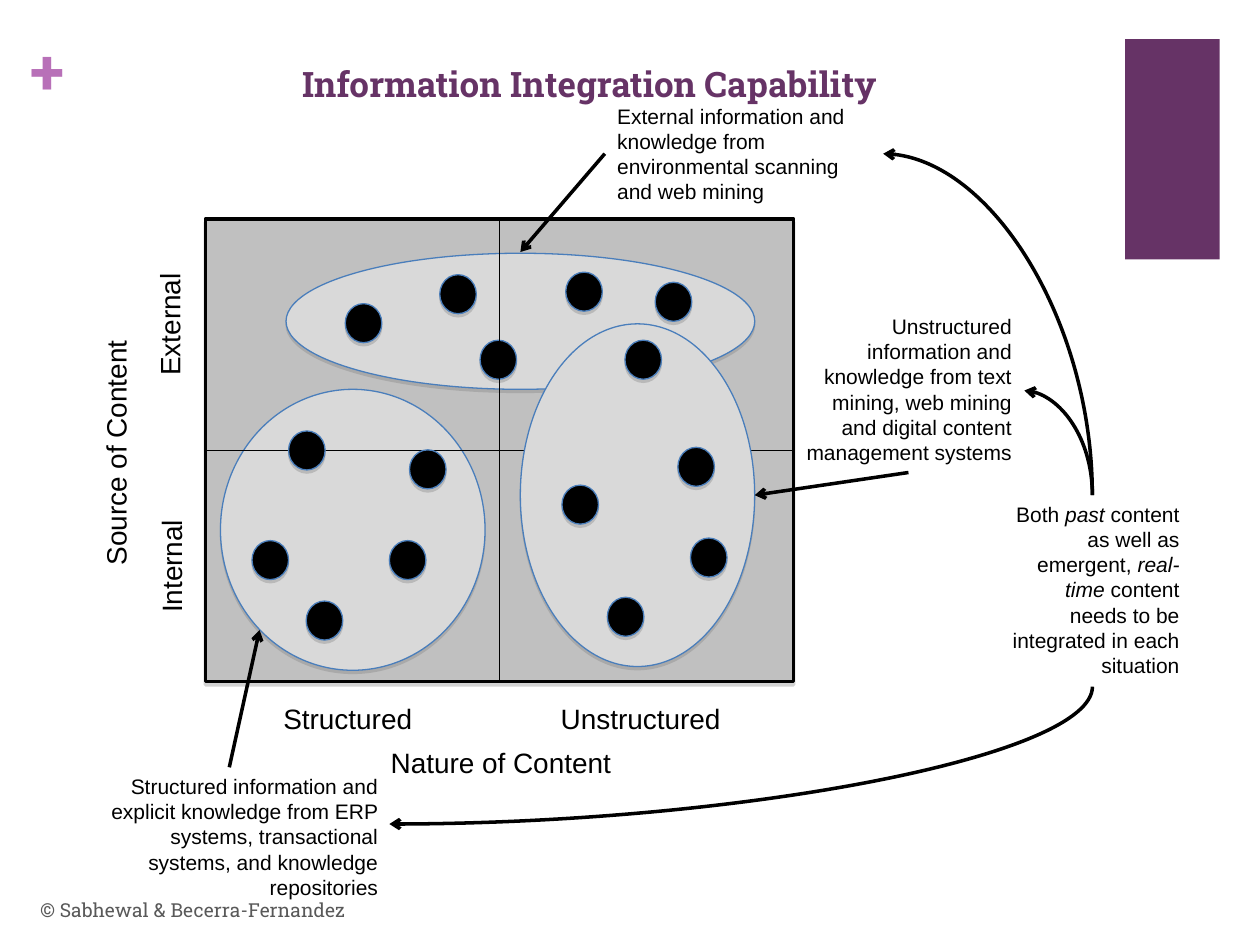
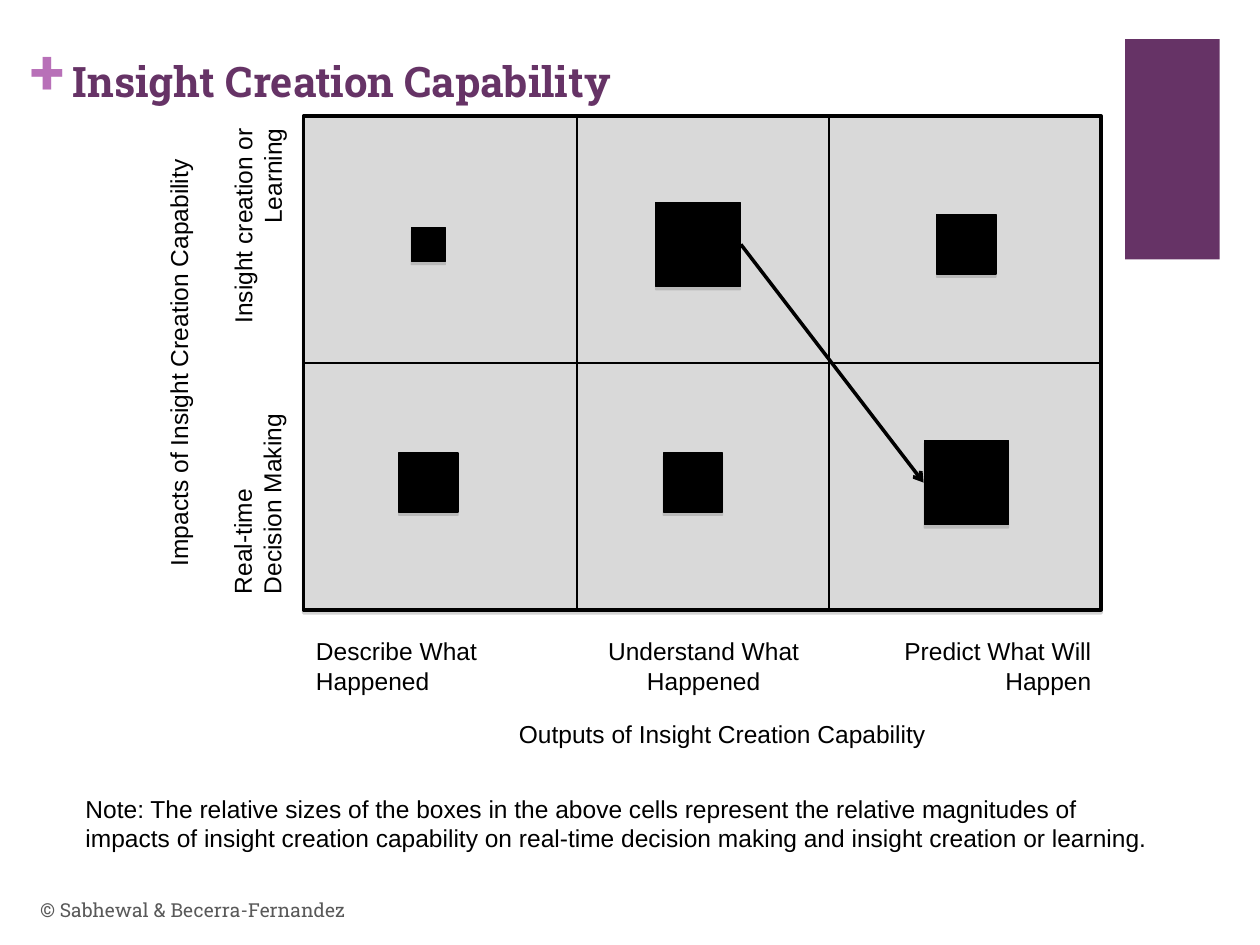
from lxml import etree
from pptx import Presentation
from pptx.dml.color import RGBColor
from pptx.enum.shapes import MSO_CONNECTOR, MSO_SHAPE
from pptx.enum.text import MSO_ANCHOR, MSO_AUTO_SIZE, PP_ALIGN
from pptx.oxml import parse_xml
from pptx.oxml.ns import nsdecls, qn
from pptx.util import Inches, Pt

BLACK = RGBColor(0x00, 0x00, 0x00)
PURPLE = RGBColor(0x66, 0x33, 0x66)
LILAC = RGBColor(0xB8, 0x70, 0xB8)
FOOTER_GRAY = RGBColor(0x59, 0x59, 0x59)
GRID_GRAY = RGBColor(0xC0, 0xC0, 0xC0)
LIGHT_GRAY = RGBColor(0xD9, 0xD9, 0xD9)
OUTLINE_BLUE = RGBColor(0x4A, 0x7E, 0xBB)

HEADING_FONT = "Roboto Slab"
BODY_FONT = "Arial"
LEFT, CENTER, RIGHT = PP_ALIGN.LEFT, PP_ALIGN.CENTER, PP_ALIGN.RIGHT

SHADOW_XML = (
    f'<a:outerShdw {nsdecls("a")} blurRad="0" dist="22860" dir="5400000" rotWithShape="0">'
    '<a:srgbClr val="808080"><a:alpha val="35000"/></a:srgbClr></a:outerShdw>'
)


class Deck:
    """Holds the presentation, its text style and the slide being drawn."""

    def __init__(self):
        self.presentation = Presentation()
        self.presentation.slide_width = Inches(10)
        self.presentation.slide_height = Inches(7.5)
        self.slide = None
        self.body_size = 12

    def start_slide(self, title, left, top, size, align, body_size):
        self.slide = self.presentation.slides.add_slide(self.presentation.slide_layouts[6])
        self.body_size = body_size
        self.shape(MSO_SHAPE.RECTANGLE, (8.93, 0.31, 0.75, 1.75), PURPLE)
        self.text("+", (0.24, 0.25, 0.28, 0.6), size=36, color=LILAC,
                  font=HEADING_FONT, bold=True, margins=(0, 0))
        self.text(title, (left, top, 8.26, 1.22), align, size=size, color=PURPLE,
                  font=HEADING_FONT, bold=True, grow=False)
        footer = self.text("© Sabhewal & Becerra-Fernandez", (0.22, 7.02, 6.7, 0.4),
                           size=11, color=FOOTER_GRAY, font=HEADING_FONT, grow=False)
        footer.text_frame.vertical_anchor = MSO_ANCHOR.MIDDLE

    def text(self, text, box, align=LEFT, size=None, color=BLACK, font=BODY_FONT,
             bold=False, rotation=0, wrap=True, grow=True, margins=(0.1, 0.05)):
        """Add a text box; words between asterisks are set in italics."""
        shape = self.slide.shapes.add_textbox(*map(Inches, box))
        shape.rotation = rotation
        frame = shape.text_frame
        frame.word_wrap = wrap
        frame.auto_size = MSO_AUTO_SIZE.SHAPE_TO_FIT_TEXT if grow else MSO_AUTO_SIZE.NONE
        frame.margin_left = frame.margin_right = Inches(margins[0])
        frame.margin_top = frame.margin_bottom = Inches(margins[1])
        paragraph = frame.paragraphs[0]
        paragraph.alignment = align
        for index, part in enumerate(text.split("*")):
            run = paragraph.add_run()
            run.text = part
            run.font.name = font
            run.font.size = Pt(size or self.body_size)
            run.font.bold = bold
            run.font.italic = index % 2 == 1
            run.font.color.rgb = color
        return shape

    def shape(self, kind, box, fill, line=None, line_width=0.75):
        """Add a filled shape; an outlined one also casts a soft shadow."""
        shape = self.slide.shapes.add_shape(kind, *map(Inches, box))
        shape.shadow.inherit = False
        shape.fill.solid()
        shape.fill.fore_color.rgb = fill
        if line is None:
            shape.line.fill.background()
        else:
            shape.line.color.rgb = line
            shape.line.width = Pt(line_width)
            effects = shape.element.spPr.find(qn("a:effectLst"))
            effects.append(parse_xml(SHADOW_XML))

    def ellipse(self, box, fill=LIGHT_GRAY):
        self.shape(MSO_SHAPE.OVAL, box, fill, OUTLINE_BLUE)

    def dots(self, *corners):
        for left, top in corners:
            self.ellipse((left, top, 0.29, 0.31), BLACK)

    def square(self, center_x, center_y, side):
        box = (center_x - side / 2, center_y - side / 2, side, side)
        self.shape(MSO_SHAPE.RECTANGLE, box, BLACK, BLACK)

    def line(self, start, end, width=1, kind=MSO_CONNECTOR.STRAIGHT):
        connector = self.slide.shapes.add_connector(kind, *map(Inches, (*start, *end)))
        connector.line.color.rgb = BLACK
        connector.line.width = Pt(width)
        etree.SubElement(connector.element.spPr, qn("a:effectLst"))
        return connector

    def arrow(self, start, tip):
        self.add_arrowhead(self.line(start, tip, 2), "a:tailEnd")

    def curved_arrow(self, start, tip):
        """Draw a quarter curve that leaves start vertically and meets tip horizontally."""
        connector = self.line(tip, start, 2, MSO_CONNECTOR.CURVE)
        connector.element.spPr.find(qn("a:prstGeom")).set("prst", "curvedConnector2")
        self.add_arrowhead(connector, "a:headEnd")

    def add_arrowhead(self, connector, end_tag):
        outline = connector.element.spPr.find(qn("a:ln"))
        etree.SubElement(outline, qn(end_tag)).set("type", "arrow")


def build_integration_slide(deck):
    deck.start_slide("Information Integration Capability", 0.55, 0.45, 20, CENTER, body_size=12)
    left, top, width, height = grid = (1.63, 1.74, 4.67, 3.67)
    right, bottom = left + width, top + height
    middle_x, middle_y = left + width / 2, top + height / 2

    deck.shape(MSO_SHAPE.RECTANGLE, grid, GRID_GRAY, BLACK, 2)
    deck.ellipse((1.75, 3.09, 2.1, 2.23))
    deck.line((left, middle_y), (right, middle_y))
    deck.dots((2.29, 3.42), (2, 4.29), (3.09, 4.29), (2.43, 4.77), (3.25, 3.57))
    deck.ellipse((2.27, 2.01, 3.72, 1.08))
    deck.dots((3.49, 2.18), (2.74, 2.41), (5.2, 2.24), (3.81, 2.7), (4.49, 2.16))
    deck.line((middle_x, top), (middle_x, bottom))
    deck.ellipse((4.13, 2.57, 1.86, 2.72))
    deck.dots((4.96, 2.7), (4.46, 3.85), (5.48, 4.27), (4.82, 4.74), (5.38, 3.55))

    for label, box, rotation in (
        ("Structured", (2.15, 5.52, 1.22, 0.37), 0),
        ("Unstructured", (4.35, 5.52, 1.47, 0.37), 0),
        ("Nature of Content", (3, 5.87, 1.95, 0.37), 0),
        ("Internal", (0.89, 4.31, 0.94, 0.37), 270),
        ("External", (0.84, 2.39, 1.01, 0.37), 270),
        ("Source of Content", (-0.13, 3.41, 2.1, 0.37), 270),
    ):
        deck.text(label, box, CENTER, size=16, rotation=rotation, wrap=False)

    for note, box, align in (
        ("External information and knowledge from environmental scanning and web mining",
         (4.8, 0.77, 2.21, 0.9), LEFT),
        ("Structured information and explicit knowledge from ERP systems, "
         "transactional systems, and knowledge repositories", (0.6, 6.09, 2.5, 1.1), RIGHT),
        ("Unstructured information and knowledge from text mining, web mining "
         "and digital content management systems", (6.3, 2.44, 1.83, 1.3), RIGHT),
        ("Both *past *content as well as emergent, *real-time* content needs "
         "to be integrated in each situation", (7.88, 3.93, 1.58, 1.5), RIGHT),
    ):
        deck.text(note, box, align)

    deck.arrow((4.8, 1.22), (4.13, 2))
    deck.arrow((1.82, 6.09), (2.06, 5))
    deck.arrow((7.21, 3.75), (5.99, 3.93))
    deck.curved_arrow((8.67, 3.93), (8.13, 3.1))
    deck.curved_arrow((8.67, 3.93), (7.01, 1.22))
    deck.curved_arrow((8.67, 5.45), (3.09, 6.54))


def build_insight_slide(deck):
    deck.start_slide("Insight Creation Capability", 0.48, 0.39, 24, LEFT, body_size=14)
    left, top, width, height = grid = (2.41, 0.92, 6.33, 3.92)
    right, bottom = left + width, top + height
    middle_y = top + height / 2

    deck.shape(MSO_SHAPE.RECTANGLE, grid, LIGHT_GRAY, BLACK, 2)
    for column_x in (4.58, 6.58):
        deck.line((column_x, top), (column_x, bottom))
    deck.line((left, middle_y), (right, middle_y))

    impact_rows = (
        (1.94, ((3.4, 0.27), (5.54, 0.67), (7.67, 0.47))),
        (3.83, ((3.4, 0.47), (5.5, 0.47), (7.67, 0.67))),
    )
    for center_y, squares in impact_rows:
        for center_x, side in squares:
            deck.square(center_x, center_y, side)
    deck.arrow((5.88, 1.94), (7.33, 3.83))

    deck.text("Real-time Decision Making", (1.18, 3.67, 1.72, 0.57), rotation=270)
    deck.text("Insight creation or Learning", (1.07, 1.61, 1.95, 0.57), RIGHT, rotation=270)
    deck.text("Impacts of Insight Creation Capability", (-0.54, 2.71, 3.92, 0.34),
              CENTER, rotation=270)

    outputs = (("Describe What Happened", LEFT), ("Understand What Happened", CENTER),
               ("Predict What Will Happen", RIGHT))
    for index, (output, align) in enumerate(outputs):
        deck.text(output, (left + 2.09 * index, 5, 2.17, 0.57), align)
    deck.text("Outputs of Insight Creation Capability", (4.02, 5.66, 3.43, 0.34), wrap=False)
    deck.text("Note: The relative sizes of the boxes in the above cells represent the relative "
              "magnitudes of impacts of insight creation capability on real-time decision making "
              "and insight creation or learning.", (0.58, 6.25, 8.78, 0.57))


def main():
    deck = Deck()
    build_integration_slide(deck)
    build_insight_slide(deck)
    deck.presentation.save("out.pptx")


if __name__ == "__main__":
    main()
